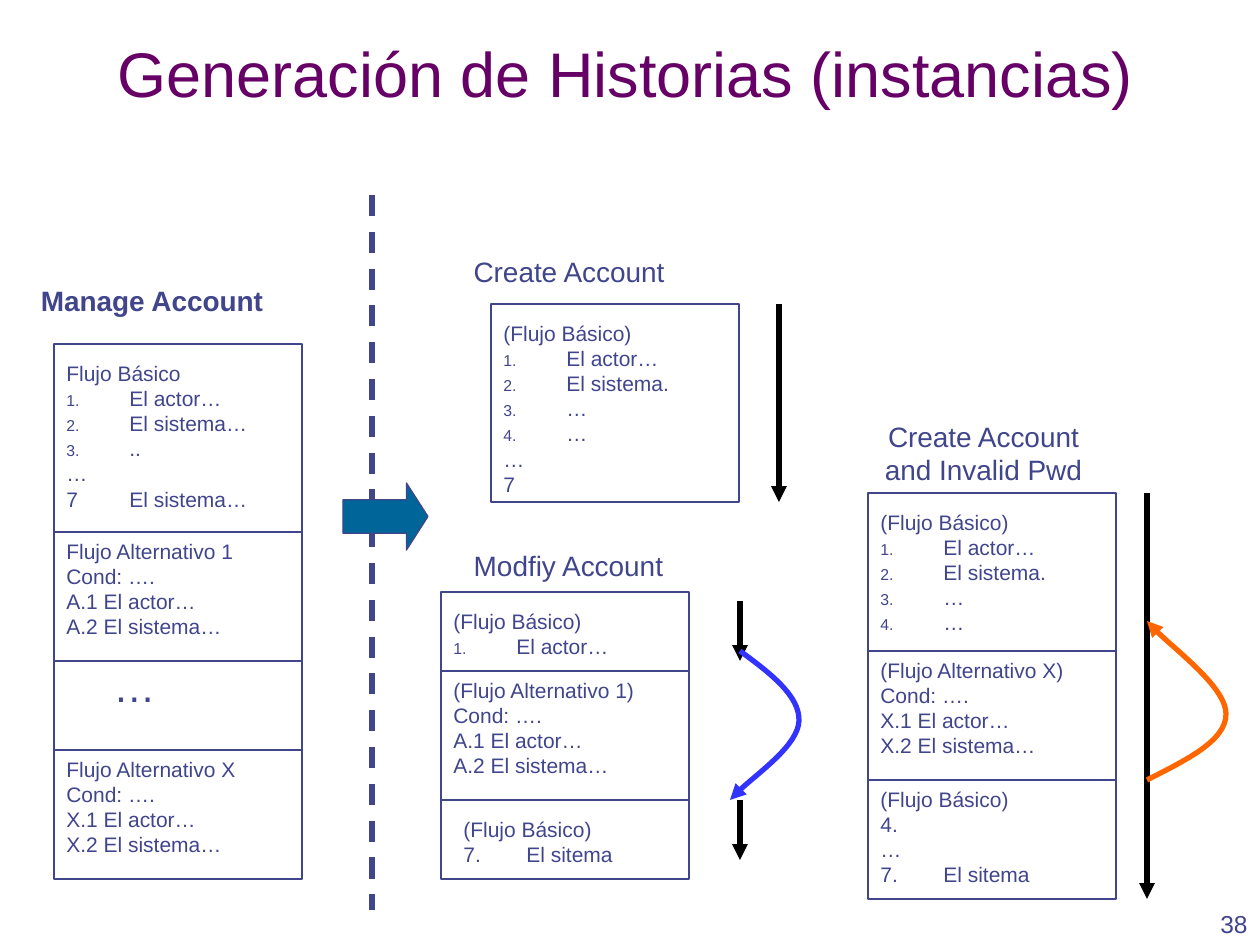
from dataclasses import dataclass

from lxml import etree
from pptx import Presentation
from pptx import util as u
from pptx.dml.color import RGBColor
from pptx.enum import dml, shapes, text
from pptx.oxml.ns import qn


@dataclass(frozen=True)
class Theme:
    font: str = "Arial"
    ink: str = "40458C"
    title: str = "660066"
    block: str = "006699"
    flow: str = "000000"
    detour: str = "3333FF"
    retry: str = "FF6600"
    title_size: int = 36
    dots_size: int = 24
    label_size: int = 16
    number_size: int = 14
    body_size: int = 12
    thin: float = 0.75
    thick: float = 3


@dataclass(frozen=True)
class Flow:
    """One cell of a story: a heading, numbered steps and closing lines."""
    height: int
    heading: str = ""
    steps: tuple = ()
    closing: tuple = ()
    dx: int = 0
    dy: int = 0


THEME = Theme()
PX = u.Inches(1) / 126
STORY_WIDTH, TEXT_WIDTH = 248, 228
LINE_HEIGHT, TEXT_PADDING = 25, 13


def px(*lengths):
    return [u.Emu(round(length * PX)) for length in lengths]


def style_font(paragraph, size, color=THEME.ink, bold=False):
    font = paragraph.font
    font.name, font.size, font.bold = THEME.font, u.Pt(size), bold
    font.color.rgb = RGBColor.from_string(color)


def style_line(item, color, width):
    item.line.color.rgb = RGBColor.from_string(color)
    item.line.width = u.Pt(width)


def add_arrowhead(item):
    line = item.element.spPr.find(qn("a:ln"))
    etree.SubElement(line, qn("a:tailEnd"), type="triangle")


def add_title(page, words):
    title = page.shapes.title
    title.left, title.top, title.width, title.height = px(105, 21, 1071, 95)
    frame = title.text_frame
    frame.text = words
    frame.auto_size = text.MSO_AUTO_SIZE.NONE
    frame.vertical_anchor = text.MSO_ANCHOR.BOTTOM
    frame.paragraphs[0].alignment = text.PP_ALIGN.LEFT
    style_font(frame.paragraphs[0], THEME.title_size, THEME.title)


def add_label(page, words, area, size=THEME.label_size, bold=False, wrap=False,
              align=text.PP_ALIGN.CENTER, anchor=text.MSO_ANCHOR.TOP):
    frame = page.shapes.add_textbox(*px(*area)).text_frame
    frame.word_wrap = wrap
    frame.vertical_anchor = anchor
    frame.text = words
    frame.paragraphs[0].alignment = align
    style_font(frame.paragraphs[0], size, bold=bold)


def add_preset(page, kind, area):
    shape = page.shapes.add_shape(kind, *px(*area))
    shape.shadow.inherit = False
    shape.fill.background()
    style_line(shape, THEME.ink, THEME.thin)
    return shape


def number_paragraph(properties):
    color = etree.SubElement(properties, qn("a:buClr"))
    etree.SubElement(color, qn("a:srgbClr"), val=THEME.ink)
    etree.SubElement(properties, qn("a:buSzPct"), val="75000")
    etree.SubElement(properties, qn("a:buAutoNum"), type="arabicPeriod")


def add_flow_text(page, flow, left, top):
    lines = [flow.heading, *flow.steps, *flow.closing]
    height = LINE_HEIGHT * len(lines) + TEXT_PADDING
    box = page.shapes.add_textbox(*px(left, top, TEXT_WIDTH, height))
    frame = box.text_frame
    frame.word_wrap = True
    frame.text = "\n".join(lines)
    indent = u.Inches(0.5)
    for index, paragraph in enumerate(frame.paragraphs):
        properties = paragraph._p.get_or_add_pPr()
        properties.set("marL", str(indent))
        properties.set("indent", str(-indent))
        if 1 <= index <= len(flow.steps):
            number_paragraph(properties)
        style_font(paragraph, THEME.body_size)


def add_story(page, left, top, flows):
    """Stack the flows of one story as adjoining cells."""
    for flow in flows:
        add_preset(page, shapes.MSO_SHAPE.RECTANGLE,
                   (left, top, STORY_WIDTH, flow.height))
        if flow.heading:
            add_flow_text(page, flow, left + flow.dx, top + flow.dy)
        top += flow.height


def add_vertical(page, x, top, bottom, color):
    line = page.shapes.add_connector(shapes.MSO_CONNECTOR.STRAIGHT,
                                     *px(x, top, x, bottom))
    style_line(line, color, THEME.thick)
    etree.SubElement(line.element.spPr, qn("a:effectLst"))
    return line


def add_curved_arrow(page, points, color):
    """Draw cubic curves; after the start, every three points make one curve."""
    start, *rest = [tuple(px(*point)) for point in points]
    builder = page.shapes.build_freeform(*start)
    builder.add_line_segments(rest, close=False)
    curve = builder.convert_to_shape()
    segments = list(curve.element.iter(qn("a:lnTo")))
    for first in range(0, len(segments), 3):
        bezier = etree.Element(qn("a:cubicBezTo"))
        segments[first].addprevious(bezier)
        for segment in segments[first:first + 3]:
            bezier.append(segment[0])
            segment.getparent().remove(segment)
    curve.shadow.inherit = False
    curve.fill.background()
    style_line(curve, color, THEME.thick)
    add_arrowhead(curve)


def alternative(name, letter):
    return Flow(129, name, closing=("Cond: ….", f"{letter}.1 El actor…",
                                    f"{letter}.2 El sistema…"))


def add_stories(page):
    basic = "(Flujo Básico)"
    steps = ("El actor…", "El sistema.", "…", "…")
    add_story(page, 54, 344, [
        Flow(188, "Flujo Básico", ("El actor…", "El sistema…", ".."),
             ("…", "7\tEl sistema…"), dy=10),
        alternative("Flujo Alternativo 1", "A"),
        Flow(89),
        alternative("Flujo Alternativo X", "X")])
    add_story(page, 491, 304, [Flow(198, basic, steps, ("…", "7"), dy=10)])
    add_story(page, 441, 592, [
        Flow(79, basic, steps[:1], dy=10),
        alternative("(Flujo Alternativo 1)", "A"),
        Flow(79, basic, closing=("7.\tEl sitema",), dx=10, dy=10)])
    add_story(page, 868, 493, [
        Flow(158, basic, steps, dy=10),
        alternative("(Flujo Alternativo X)", "X"),
        Flow(119, basic, closing=("4.", "…", "7.\tEl sitema"))])


def add_labels(page):
    add_label(page, "Manage Account", (28, 277, 248, 47), bold=True)
    add_label(page, "Create Account", (460, 248, 218, 47))
    add_label(page, "Modfiy Account", (461, 542, 215, 47))
    add_label(page, "Create Account and Invalid Pwd", (858, 413, 251, 81), wrap=True)
    add_label(page, "…", (101, 654, 67, 63), THEME.dots_size)
    add_label(page, "38", (1167, 882, 93, 63), THEME.number_size, wrap=True,
              align=text.PP_ALIGN.RIGHT, anchor=text.MSO_ANCHOR.BOTTOM)


def add_arrows(page):
    for x, top, bottom in ((779, 304, 502), (740, 601, 661),
                           (740, 800, 860), (1147, 493, 899)):
        add_arrowhead(add_vertical(page, x, top, bottom, THEME.flow))
    add_curved_arrow(page, [(740, 651), (770, 673), (800, 696), (799, 721),
                            (798, 745), (741, 786), (730, 800)], THEME.detour)
    add_curved_arrow(page, [(1147, 780), (1186, 760), (1226, 741), (1226, 714),
                            (1226, 688), (1158, 636), (1147, 621)], THEME.retry)


def add_divider(page):
    divider = add_vertical(page, 372, 195, 910, THEME.ink)
    divider.line.dash_style = dml.MSO_LINE.DASH
    arrow = add_preset(page, shapes.MSO_SHAPE.RIGHT_ARROW, (343, 483, 85, 67))
    arrow.adjustments[1] = 0.32
    arrow.fill.solid()
    arrow.fill.fore_color.rgb = RGBColor.from_string(THEME.block)


def main():
    deck = Presentation()
    deck.slide_width, deck.slide_height = px(1260, 945)
    page = deck.slides.add_slide(deck.slide_layouts.get_by_name("Title Only"))
    add_title(page, "Generación de Historias (instancias)")
    add_stories(page)
    add_labels(page)
    add_arrows(page)
    add_divider(page)
    deck.save("out.pptx")


if __name__ == "__main__":
    main()
